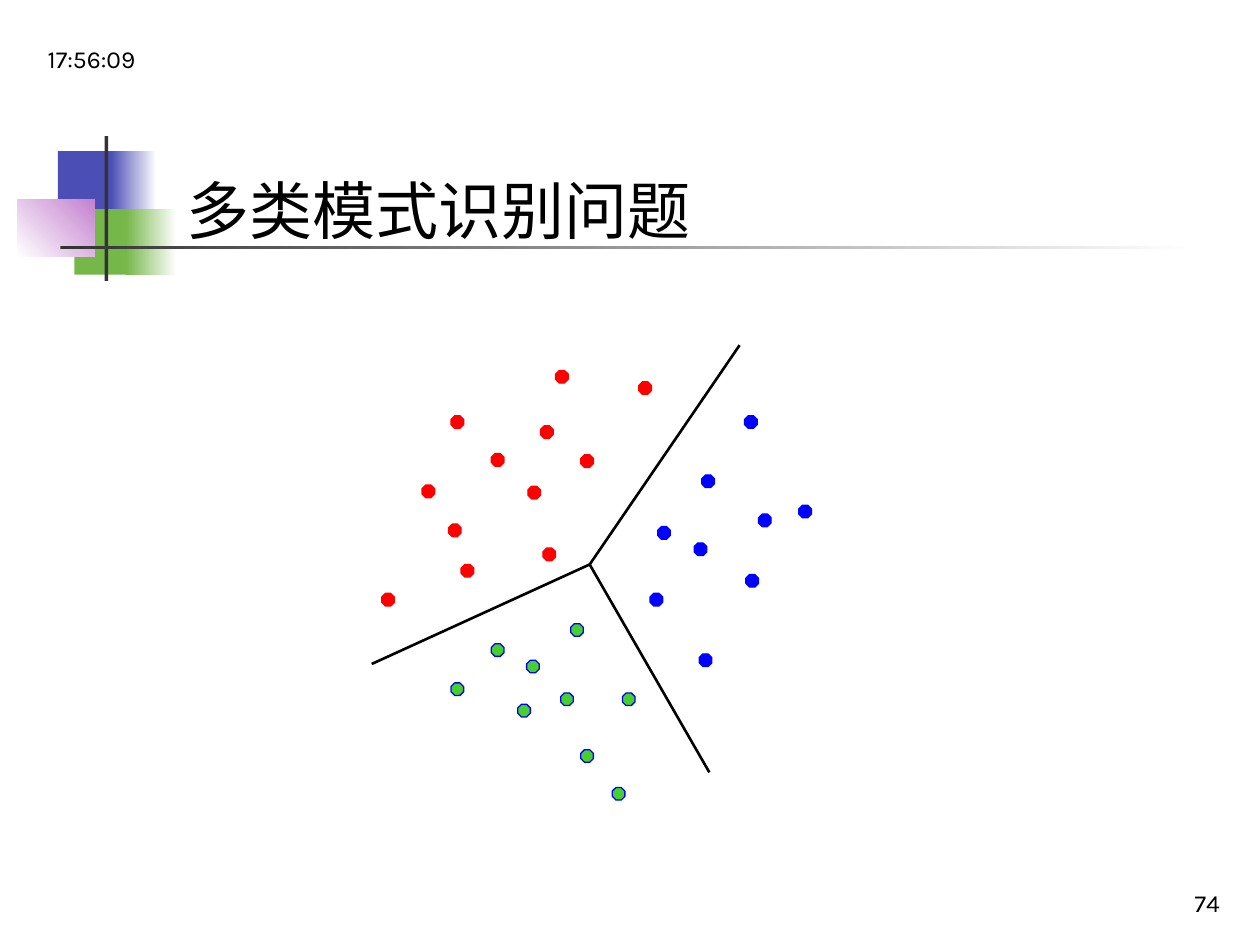
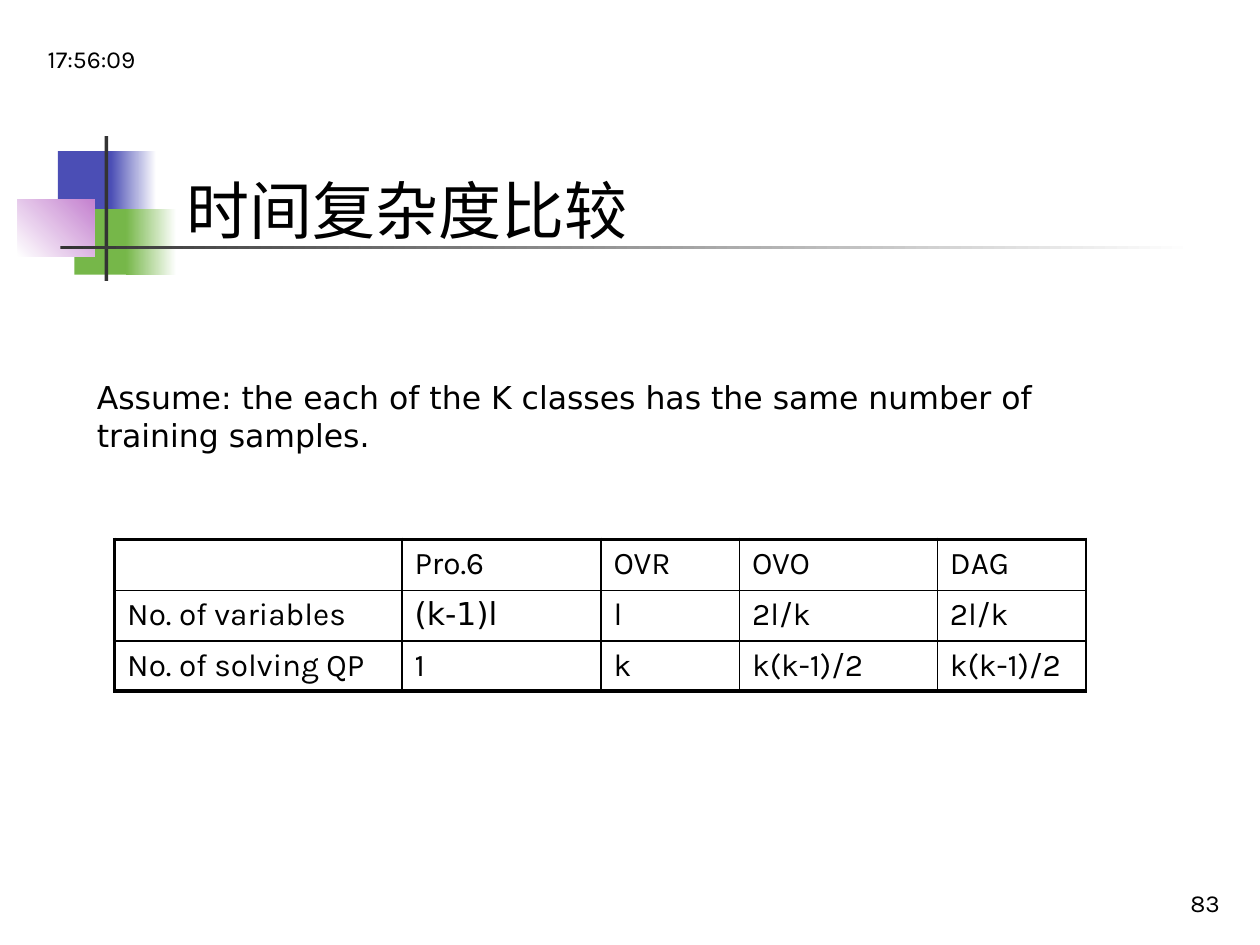
from dataclasses import dataclass
from lxml import etree
from pptx import Presentation
from pptx.dml.color import RGBColor as RGB
from pptx.enum.shapes import MSO_CONNECTOR as CONN, MSO_SHAPE as SHAPE
from pptx.enum.text import MSO_ANCHOR as ANCHOR, MSO_AUTO_SIZE as AUTO, PP_ALIGN as ALIGN
from pptx.oxml.ns import qn
from pptx.util import Pt

PX = 9144  # 100 px to the inch


@dataclass(frozen=True)
class Theme:
    black: str = "000000"
    white: str = "FFFFFF"
    dark: str = "333333"
    indigo: str = "4B4EB5"
    leaf: str = "76B749"
    lilac: str = "C481CF"
    red: str = "FF0000"
    blue: str = "0000FF"
    green: str = "45D02E"
    font: str = "Karla"
    body_font: str = "DejaVu Sans"
    title_size: int = 36
    body_size: int = 18
    small_size: int = 14
    thin: float = 1
    thick: float = 2.25


T = Theme()
TITLE_LAYOUT = 5

# Left, top, width, height in px
CLOCK_BOX = (28, 13, 208, 50)
NUMBER_BOX = (770, 683, 208, 50)
TITLE_BOX = (138, 131, 717, 70)
ORNAMENT_BOX = (14, 108, 934, 115)
SCATTER_BOX = (295, 274, 349, 361)
ASSUMPTION_BOX = (67, 295, 851, 70)
TABLE_BOX = (91, 428, 771, 120)


# ---- Helpers ----
def emu(*lengths):
    return [n * PX for n in lengths]


def add_run(p, text, size, font=T.font):
    r = p.add_run()
    r.text = text
    r.font.size = Pt(size)
    r.font.name = font
    r.font.color.rgb = RGB.from_string(T.black)


def write(sp, text, size, font=T.font, anchor=ANCHOR.TOP, align=ALIGN.LEFT):
    tf = sp.text_frame
    tf.word_wrap = True
    tf.auto_size = AUTO.NONE
    tf.vertical_anchor = anchor
    p = tf.paragraphs[0]
    p.alignment = align
    add_run(p, text, size, font)


def add_text(slide, box, text, size, **style):
    write(slide.shapes.add_textbox(*emu(*box)), text, size, **style)


def add_filled(slide, kind, box, colours, angle=0, line=None):
    """Add a shape with one solid colour or a two-colour gradient."""
    sp = slide.shapes.add_shape(kind, *emu(*box))
    sp.shadow.inherit = False
    if len(colours) == 1:
        sp.fill.solid()
        sp.fill.fore_color.rgb = RGB.from_string(colours[0])
    else:
        sp.fill.gradient()
        sp.fill.gradient_angle = angle
        for stop, colour in zip(sp.fill.gradient_stops, colours):
            stop.color.rgb = RGB.from_string(colour)
    if line:
        sp.line.color.rgb = RGB.from_string(line)
        sp.line.width = Pt(0.75)
    else:
        sp.line.fill.background()


def add_line(slide, start, end):
    line = slide.shapes.add_connector(CONN.STRAIGHT, *emu(*start, *end))
    line.line.color.rgb = RGB.from_string(T.black)
    line.line.width = Pt(1.5)
    etree.SubElement(line._element.spPr, qn("a:effectLst"))


def set_borders(cell, **widths):
    tc_pr = cell._tc.get_or_add_tcPr()
    for side in "LRTB":
        ln = etree.SubElement(tc_pr, qn(f"a:ln{side}"), w=str(Pt(widths[side])))
        fill = etree.SubElement(ln, qn("a:solidFill"))
        etree.SubElement(fill, qn("a:srgbClr"), val=T.black)


# ---- Shared frame: ornament, title, clock, number ----
def draw_ornament(slide, box):
    x, y, w, h = box
    parts = [
        ((32, 12, 48, 52), [T.indigo], 0),
        ((74, 12, 36, 52), [T.indigo, T.white], 0),
        ((45, 58, 46, 52), [T.leaf], 0),
        ((86, 58, 40, 52), [T.leaf, T.white], 0),
        ((0, 50, 61, 46), [T.white, T.lilac], 45),
        ((69, 0, 3, h), [T.dark], 0),
        ((34, 87, w - 34, 3), [T.dark, T.white], 0),
    ]
    for (dx, dy, pw, ph), colours, angle in parts:
        add_filled(slide, SHAPE.RECTANGLE, (x + dx, y + dy, pw, ph), colours, angle)


def add_framed_slide(prs, title, number):
    slide = prs.slides.add_slide(prs.slide_layouts[TITLE_LAYOUT])
    draw_ornament(slide, ORNAMENT_BOX)
    sp = slide.shapes.title
    sp.left, sp.top, sp.width, sp.height = emu(*TITLE_BOX)
    write(sp, title, T.title_size)
    add_text(slide, CLOCK_BOX, "17:56:09", T.small_size, anchor=ANCHOR.BOTTOM)
    add_text(slide, NUMBER_BOX, number, T.small_size,
             anchor=ANCHOR.BOTTOM, align=ALIGN.RIGHT)
    return slide


# ---- Three classes split by three boundaries ----
def draw_scatter(slide, box):
    x, y, w, h = box
    dot = 10
    classes = [
        (T.red, T.red, [(124, 112), (63, 56), (40, 111), (71, 174), (95, 86), (8, 197),
                        (134, 64), (136, 161), (146, 20), (212, 29), (61, 142), (166, 87)]),
        (T.blue, T.blue, [(296, 56), (256, 157), (260, 245), (221, 197), (262, 103),
                          (227, 144), (297, 182), (307, 134), (339, 127)]),
        (T.green, T.blue, [(123, 250), (158, 221), (191, 351), (63, 268), (116, 285),
                           (95, 237), (150, 276), (199, 276), (166, 321)]),
    ]
    for fill, line, points in classes:
        for dx, dy in points:
            add_filled(slide, SHAPE.OCTAGON, (x + dx, y + dy, dot, dot), [fill], line=line)

    hub = (x + 173, y + 174)
    for dx, dy in [(292, 0), (0, 253), (268, 339)]:
        add_line(slide, hub, (x + dx, y + dy))


# ---- Complexity table ----
def draw_complexity_table(slide, box):
    rows = [
        ["", "Pro.6", "OVR", "OVO", "DAG"],
        ["No. of variables", "(k-1)l", "l", "2l/k", "2l/k"],
        ["No. of solving QP", "1", "k", "k(k-1)/2", "k(k-1)/2"],
    ]
    widths = [228, 158, 110, 157, 118]
    table = slide.shapes.add_table(len(rows), len(widths), *emu(*box)).table
    table.first_row = table.horz_banding = False
    for col, width in zip(table.columns, widths):
        col.width = width * PX
    for i, row in enumerate(rows):
        table.rows[i].height = box[3] // len(rows) * PX
        for j, text in enumerate(row):
            cell = table.cell(i, j)
            set_borders(cell,
                        L=T.thin if j else T.thick,
                        R=T.thin,
                        T=T.thin if i else T.thick,
                        B=T.thick if i == len(rows) - 1 else T.thin)
            cell.fill.background()
            if text:
                font = T.body_font if text == "(k-1)l" else T.font
                add_run(cell.text_frame.paragraphs[0], text, T.body_size, font)


# ---- Slides ----
def build_classes_slide(prs):
    slide = add_framed_slide(prs, "多类模式识别问题", "74")
    draw_scatter(slide, SCATTER_BOX)


def build_complexity_slide(prs):
    slide = add_framed_slide(prs, "时间复杂度比较", "83")
    add_text(slide, ASSUMPTION_BOX,
             "Assume: the each of the K classes has the same number of training samples.",
             T.body_size, font=T.body_font)
    draw_complexity_table(slide, TABLE_BOX)


def main():
    prs = Presentation()
    prs.slide_width, prs.slide_height = emu(1000, 750)
    build_classes_slide(prs)
    build_complexity_slide(prs)
    prs.save("out.pptx")


if __name__ == "__main__":
    main()
